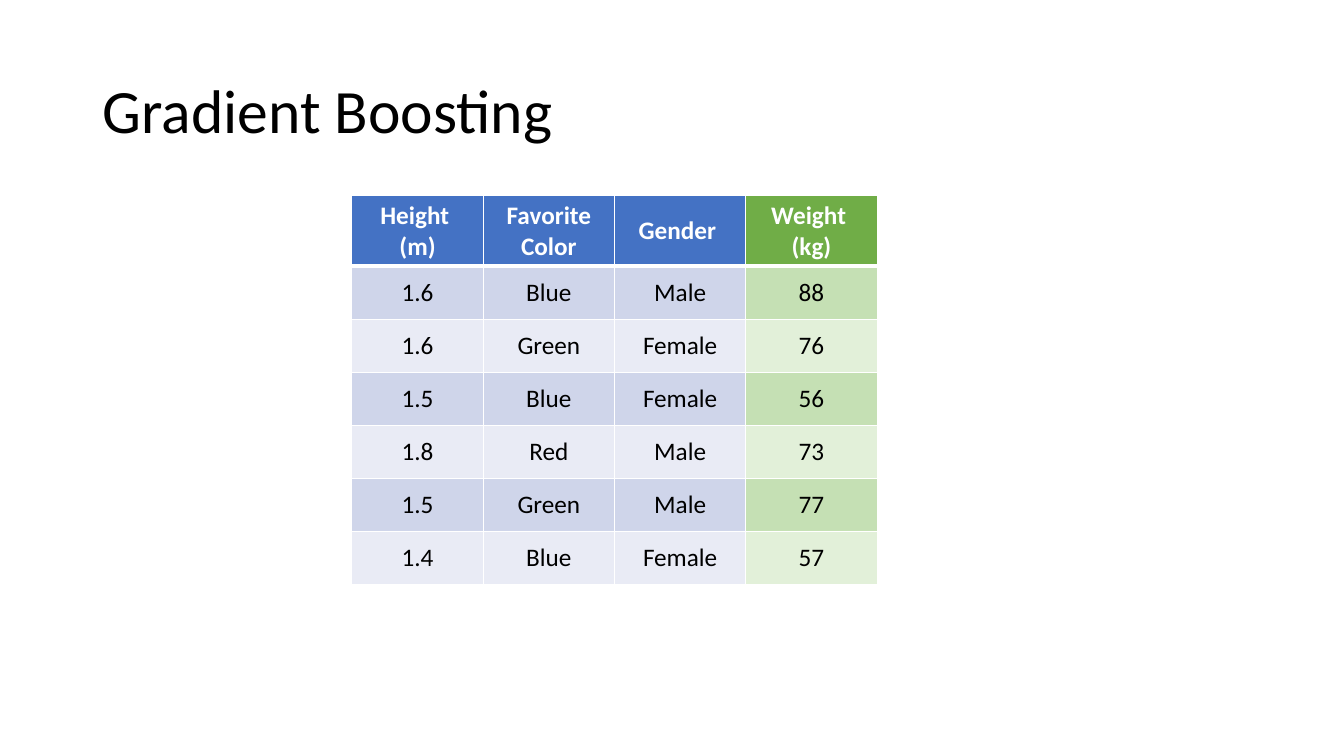
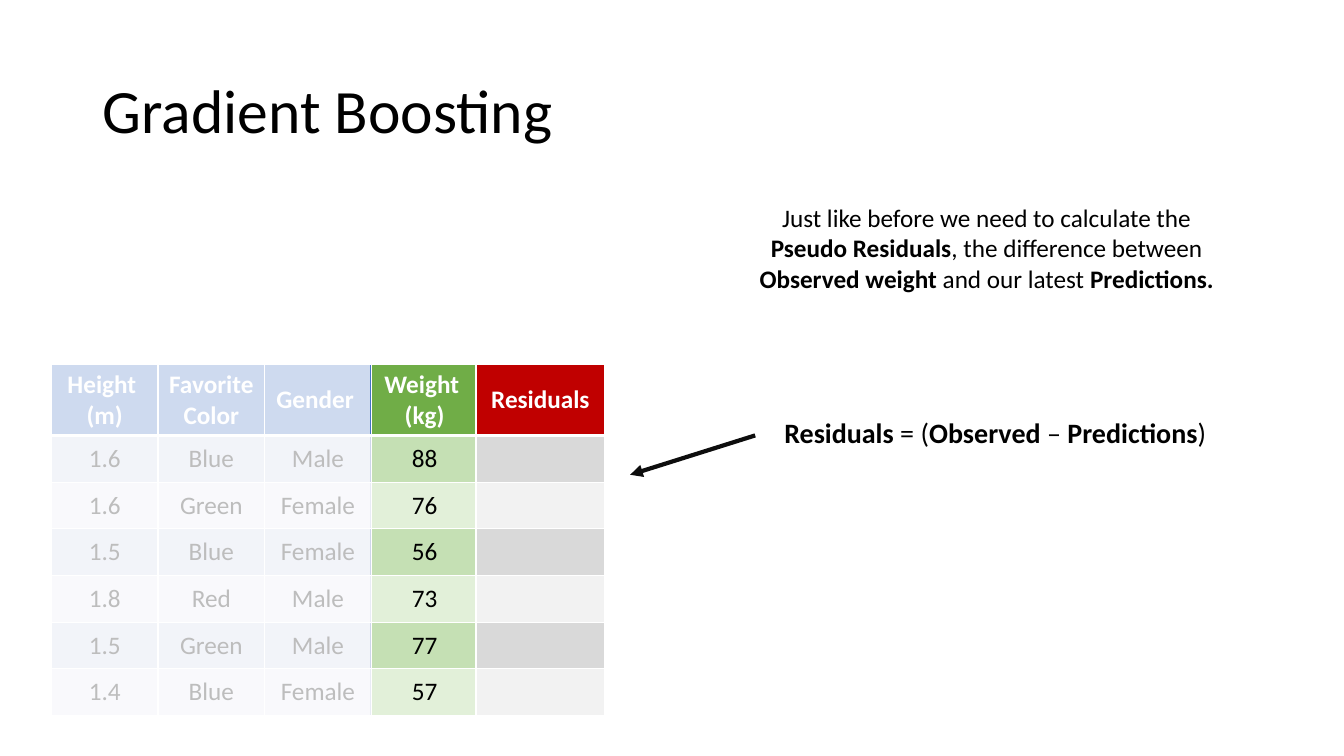
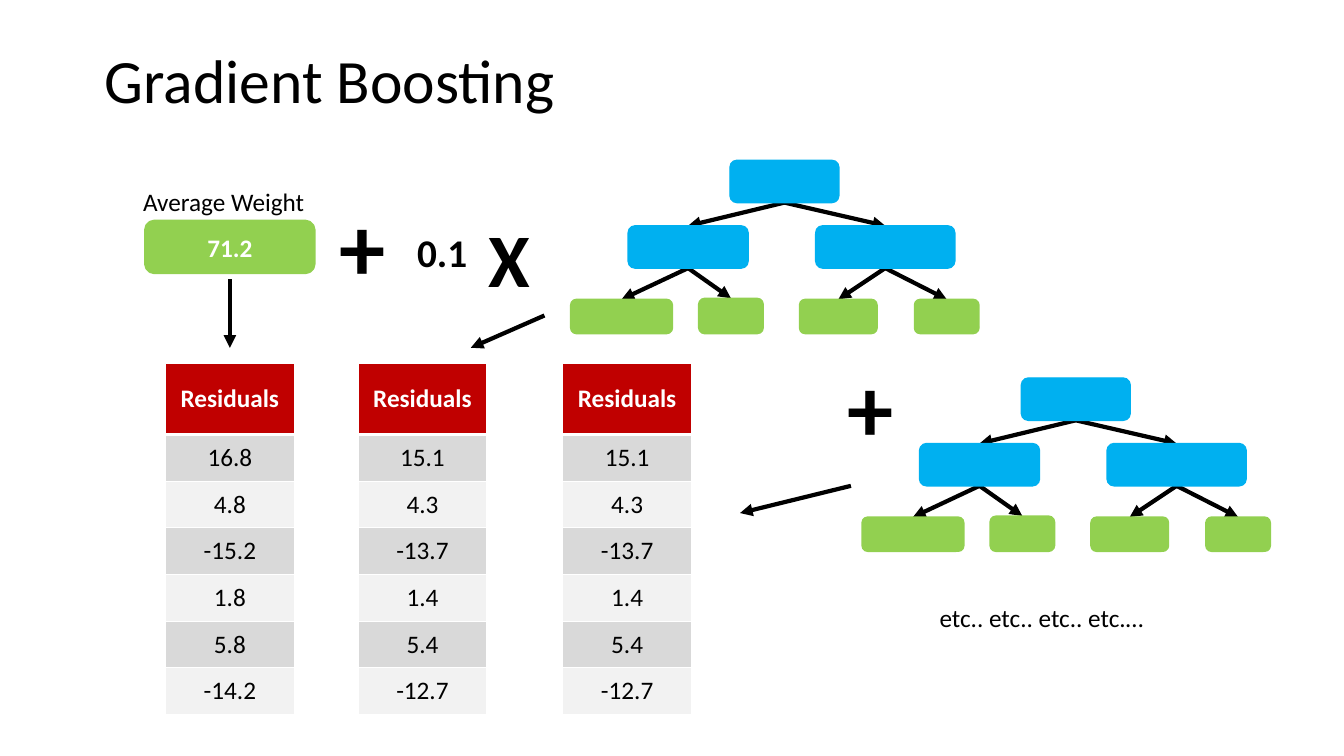
from dataclasses import dataclass
from typing import NamedTuple

from lxml.etree import SubElement
from pptx import Presentation
from pptx.dml.color import RGBColor
from pptx.dml.fill import FillFormat
from pptx.enum.shapes import MSO_CONNECTOR, MSO_SHAPE
from pptx.enum.text import MSO_ANCHOR, PP_ALIGN
from pptx.oxml.ns import qn
from pptx.shapes.autoshape import Shape
from pptx.slide import Slide
from pptx.table import _Cell
from pptx.text.text import TextFrame
from pptx.util import Emu, Pt

EMU_PER_PX = 9144
FONT = "Calibri"
BLACK, WHITE, INK = "000000", "FFFFFF", "0D0D0D"
BLUE, GREEN, RED = "4472C4", "70AD47", "C00000"
NODE_BLUE, LEAF_GREEN = "00B0F0", "92D050"
BLUE_BANDS = ("CFD5EA", "E9EBF5")
GREEN_BANDS = ("C5E0B4", "E2F0D9")
GREY_BANDS = ("D9D9D9", "F2F2F2")
HEADER_H = 70


class Rect(NamedTuple):
    x: int
    y: int
    w: int
    h: int

    def moved(self, dx: int, dy: int) -> "Rect":
        return Rect(self.x + dx, self.y + dy, self.w, self.h)


@dataclass(frozen=True)
class Column:
    header: str
    values: tuple[str, ...]
    color: str = BLUE
    bands: tuple[str, str] = BLUE_BANDS


@dataclass(frozen=True)
class Label:
    rect: Rect
    text: str
    size: int = 18
    align: PP_ALIGN = PP_ALIGN.CENTER


@dataclass(frozen=True)
class Node:
    rect: Rect
    color: str
    parent: int | None = None


class Arrow(NamedTuple):
    x1: float
    y1: float
    x2: float
    y2: float
    color: str = BLACK


DATA = (
    Column("Height \n(m)", ("1.6", "1.6", "1.5", "1.8", "1.5", "1.4")),
    Column("Favorite\nColor", ("Blue", "Green", "Blue", "Red", "Green", "Blue")),
    Column("Gender ", ("Male", "Female", "Female", "Male", "Male", "Female")),
    Column("Weight \n(kg)", ("88", "76", "56", "73", "77", "57"), GREEN, GREEN_BANDS),
)
FIRST_RESIDUALS = ("16.8", "4.8", "-15.2", "1.8", "5.8", "-14.2")
NEXT_RESIDUALS = ("15.1", "4.3", "-13.7", "1.4", "5.4", "-12.7")

TREE = (
    Node(Rect(158, 0, 108, 42), NODE_BLUE),
    Node(Rect(57, 65, 119, 42), NODE_BLUE, 0),
    Node(Rect(243, 65, 138, 42), NODE_BLUE, 0),
    Node(Rect(0, 138, 101, 34), LEAF_GREEN, 1),
    Node(Rect(127, 137, 64, 35), LEAF_GREEN, 1),
    Node(Rect(227, 138, 77, 34), LEAF_GREEN, 2),
    Node(Rect(341, 138, 64, 34), LEAF_GREEN, 2),
)


def px(n: float) -> Emu:
    return Emu(round(n * EMU_PER_PX))


def emu(values: tuple[float, ...]) -> list[Emu]:
    return [px(v) for v in values]


def rgb(color: str) -> RGBColor:
    return RGBColor.from_string(color)


def paint(fill: FillFormat, color: str) -> None:
    fill.solid()
    fill.fore_color.rgb = rgb(color)


def assign(target: object, values: dict[str, object]) -> None:
    for name, value in values.items():
        setattr(target, name, value)


def write(tf: TextFrame, text: str, size: int = 18, color: str = BLACK,
          align: PP_ALIGN = PP_ALIGN.CENTER, spacing: float = 1.0) -> None:
    for i, line in enumerate(text.split("\n")):
        p = tf.add_paragraph() if i else tf.paragraphs[0]
        assign(p, {"alignment": align, "line_spacing": spacing})
        for j, part in enumerate(line.split("**")):
            if part:
                r = p.add_run()
                r.text = part
                assign(r.font, {"name": FONT, "size": Pt(size), "bold": j % 2 == 1})
                paint(r.font.fill, color)


def add_label(s: Slide, label: Label) -> None:
    tf = s.shapes.add_textbox(*emu(label.rect)).text_frame
    tf.word_wrap = True
    write(tf, label.text, label.size, align=label.align)


def add_title(s: Slide, x: int, y: int) -> None:
    tf = s.shapes.add_textbox(*emu((x, y, 863, 145))).text_frame
    assign(tf, {"word_wrap": True, "vertical_anchor": MSO_ANCHOR.MIDDLE})
    write(tf, "Gradient Boosting", 44, align=PP_ALIGN.LEFT, spacing=0.9)


def add_box(s: Slide, rect: Rect, color: str, line_pt: int = 0,
            kind: MSO_SHAPE = MSO_SHAPE.ROUNDED_RECTANGLE) -> Shape:
    sp = s.shapes.add_shape(kind, *emu(rect))
    sp.shadow.inherit = False
    paint(sp.fill, color)
    if line_pt:
        paint(sp.line.fill, color)
        sp.line.width = Pt(line_pt)
    else:
        sp.line.fill.background()
    return sp


def add_veil(s: Slide, rect: Rect, alpha: int) -> None:
    sp = add_box(s, rect, WHITE, kind=MSO_SHAPE.RECTANGLE)
    clr = sp.fill._xPr.find(qn("a:solidFill"))[0]
    SubElement(clr, qn("a:alpha"), val=str(alpha * 1000))


def add_arrow(s: Slide, arrow: Arrow) -> None:
    cx = s.shapes.add_connector(MSO_CONNECTOR.STRAIGHT, *emu(arrow[:4]))
    paint(cx.line.fill, arrow.color)
    cx.line.width = Pt(3)
    SubElement(cx.line._get_or_add_ln(), qn("a:tailEnd"), type="triangle")
    SubElement(cx._element.spPr, qn("a:effectLst"))


def set_borders(cell: _Cell, widths: dict[str, int]) -> None:
    tc_pr = cell._tc.get_or_add_tcPr()
    for side in ("L", "R", "T", "B"):
        width = Pt(widths.get(side, 1))
        ln = SubElement(tc_pr, qn(f"a:ln{side}"), w=str(int(width)))
        SubElement(SubElement(ln, qn("a:solidFill")), qn("a:srgbClr"), val=WHITE)


def add_data_table(s: Slide, rect: Rect, columns: tuple[Column, ...]) -> None:
    n = len(columns[0].values)
    table = s.shapes.add_table(n + 1, len(columns), *emu(rect)).table
    assign(table, {"first_row": False, "horz_banding": False})
    for i, row in enumerate(table.rows):
        row.height = px((rect.h - HEADER_H) / n if i else HEADER_H)
    for j, column in enumerate(columns):
        table.columns[j].width = px(rect.w / len(columns))
        for i, text in enumerate((column.header, *column.values)):
            cell = table.cell(i, j)
            cell.vertical_anchor = MSO_ANCHOR.MIDDLE
            set_borders(cell, {0: {"B": 3}, 1: {"T": 3}}.get(i, {}))
            paint(cell.fill, column.bands[(i - 1) % 2] if i else column.color)
            if i:
                write(cell.text_frame, text)
            else:
                bold = "\n".join(f"**{line}**" for line in text.split("\n"))
                write(cell.text_frame, bold, color=WHITE)


def add_residuals(s: Slide, x: int, y: int, values: tuple[str, ...]) -> None:
    column = Column("Residuals", values, RED, GREY_BANDS)
    add_data_table(s, Rect(x, y, 128, 348), (column,))


def add_tree(s: Slide, x: int, y: int) -> None:
    rects = [node.rect.moved(x, y) for node in TREE]
    for node, r in zip(TREE, rects):
        if node.parent is not None:
            top = rects[node.parent]
            add_arrow(s, Arrow(top.x + top.w / 2, top.y + top.h, r.x + r.w / 2, r.y))
    for node, r in zip(TREE, rects):
        add_box(s, r, node.color, 1)


def build_data_slide(s: Slide) -> None:
    add_title(s, 92, 40)
    add_data_table(s, Rect(349, 194, 521, 386), DATA)


def build_residuals_slide(s: Slide) -> None:
    add_title(s, 92, 40)
    add_data_table(s, Rect(51, 362, 423, 348), DATA)
    add_veil(s, Rect(16, 331, 351, 390), 74)
    add_residuals(s, 472, 362, ("",) * 6)
    add_label(s, Label(
        Rect(739, 196, 479, 101),
        "Just like before we need to calculate the **Pseudo Residuals**, the difference "
        "between **Observed weight **and our latest **Predictions.**"))
    add_label(s, Label(
        Rect(768, 407, 515, 44),
        "**Residuals** = (**Observed** – **Predictions**)", 20, PP_ALIGN.LEFT))
    add_arrow(s, Arrow(749, 432, 625, 471, INK))


def build_sum_slide(s: Slide) -> None:
    add_title(s, 94, 10)
    average = add_box(s, Rect(145, 220, 166, 50), LEAF_GREEN, 3)
    average.text_frame.vertical_anchor = MSO_ANCHOR.MIDDLE
    write(average.text_frame, "**71.2**", color=WHITE)
    for x, values in ((164, FIRST_RESIDUALS), (355, NEXT_RESIDUALS), (558, NEXT_RESIDUALS)):
        add_residuals(s, x, 361, values)
    for x, y in ((566, 159), (855, 375)):
        add_tree(s, x, y)
    for label in (
        Label(Rect(132, 180, 191, 40), "Average Weight", align=PP_ALIGN.LEFT),
        Label(Rect(325, 183, 70, 121), "**+**", 66),
        Label(Rect(398, 222, 81, 57), "**0.1**", 28),
        Label(Rect(470, 205, 70, 101), "**X**", 54),
        Label(Rect(828, 342, 70, 121), "**+**", 66),
        Label(Rect(922, 593, 397, 40), "etc.. etc.. etc.. etc.…", align=PP_ALIGN.LEFT),
    ):
        add_label(s, label)
    for arrow in (
        Arrow(228, 277, 228, 345),
        Arrow(540, 313, 467, 345),
        Arrow(844, 482, 734, 509),
    ):
        add_arrow(s, arrow)


def main() -> None:
    prs = Presentation()
    assign(prs, {"slide_width": px(1333), "slide_height": px(750)})
    for build in (build_data_slide, build_residuals_slide, build_sum_slide):
        build(prs.slides.add_slide(prs.slide_layouts[6]))
    prs.save("out.pptx")


if __name__ == "__main__":
    main()
